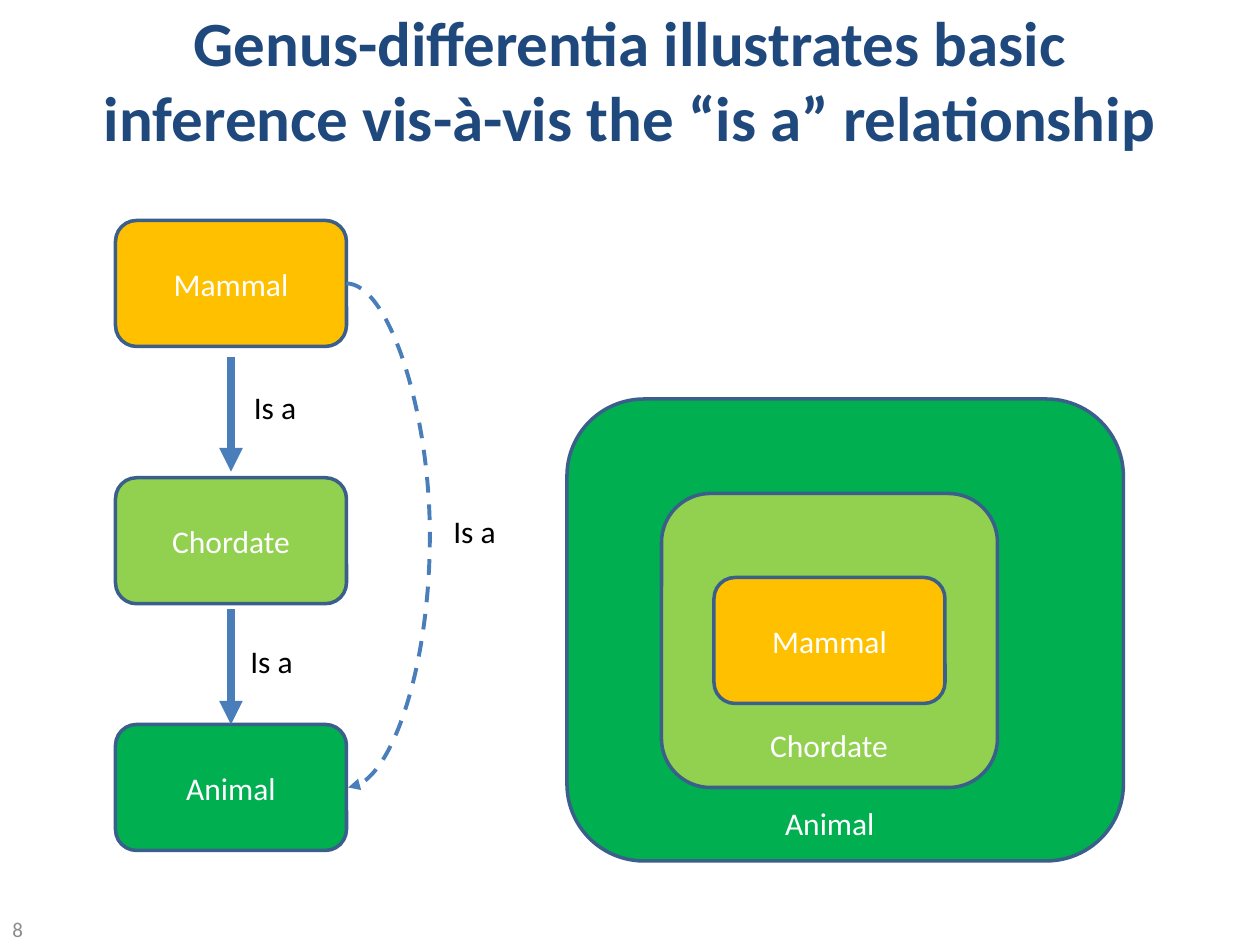
"""Build a slide showing genus-differentia inference as a chain and as nested sets."""
from lxml.etree import SubElement
from pptx import Presentation
from pptx.dml.color import RGBColor
from pptx.enum.dml import MSO_LINE
from pptx.enum.shapes import MSO_CONNECTOR as Connector, MSO_SHAPE as Shape
from pptx.enum.text import MSO_ANCHOR as Anchor, PP_ALIGN as Align
from pptx.oxml.ns import qn
from pptx.util import Pt

COLORS = {
    "title": "1F497D", "number": "8B8B8B", "black": "000000", "white": "FFFFFF",
    "outline": "3A5F8B", "arrow": "4A7EBB",
    "Mammal": "FFC000", "Chordate": "92D050", "Animal": "00B050",
}
TITLE = "Genus-differentia illustrates basic inference vis-à-vis the “is a” relationship"
SLIDE_NUMBER = "8"
BOX_LEFT, BOX_WIDTH, BOX_HEIGHT = 66, 132, 72
CHAIN = [("Mammal", 126), ("Chordate", 273), ("Animal", 414)]
NESTED = [
    ("Animal", "", (324, 228, 318, 264)),
    ("Chordate", "", (378, 282, 192, 168)),
    ("Mammal", "Mammal", (408, 330, BOX_WIDTH, BOX_HEIGHT)),
]
LABELS = [
    ("Is a", "black", (138, 218, 42, 29)),
    ("Is a", "black", (136, 363.5, 42, 29)),
    ("Is a", "black", (252, 289, 42, 29)),
    ("Chordate", "white", (433, 411.5, 86, 29)),
    ("Animal", "white", (441.5, 456, 70, 29)),
]
STRAIGHT_ARROWS = [(204, 269.5), (348, 414)]
CURVE_BULGE = 48


def rgb(name):
    return RGBColor.from_string(COLORS[name])


def write(shape, text, color, size=18, align=Align.CENTER, anchor=Anchor.MIDDLE, wrap=True, bold=False):
    frame = shape.text_frame
    frame.word_wrap = wrap
    frame.vertical_anchor = anchor
    paragraph = frame.paragraphs[0]
    paragraph.text = text
    paragraph.alignment = align
    font = paragraph.font
    font.name, font.size, font.bold = "Calibri", Pt(size), bold
    font.color.rgb = rgb(color)


def add_text(slide, place, text, color, **style):
    write(slide.shapes.add_textbox(*map(Pt, place)), text, color, **style)


def add_box(slide, kind, text, place):
    shape = slide.shapes.add_shape(Shape.ROUNDED_RECTANGLE, *map(Pt, place))
    shape.shadow.inherit = False
    shape.fill.solid()
    shape.fill.fore_color.rgb = rgb(kind)
    shape.line.color.rgb = rgb("outline")
    shape.line.width = Pt(2)
    if text:
        write(shape, text, "white")


def add_arrow(slide, kind, ends, width):
    arrow = slide.shapes.add_connector(kind, *map(Pt, ends))
    arrow.line.color.rgb = rgb("arrow")
    arrow.line.width = Pt(width)
    properties = arrow.element.spPr
    SubElement(properties.find(qn("a:ln")), qn("a:tailEnd"), type="triangle")
    SubElement(properties, qn("a:effectLst"))
    return arrow


def add_curve(slide, left, top, bottom):
    curve = add_arrow(slide, Connector.CURVE, (left, top, left + 1, bottom), 2.25)
    curve.line.dash_style = MSO_LINE.DASH
    guides = curve.element.spPr.find(qn("a:prstGeom")).get_or_add_avLst()
    SubElement(guides, qn("a:gd"), name="adj1", fmla=f"val {CURVE_BULGE * 100000}")


def main():
    presentation = Presentation()
    presentation.slide_width, presentation.slide_height = Pt(720), Pt(540)
    slide = presentation.slides.add_slide(presentation.slide_layouts[6])
    add_text(slide, (36, 0, 648, 90), TITLE, "title", size=36, bold=True)
    add_text(slide, (0, 522, 168, 17.5), SLIDE_NUMBER, "number", size=12, align=Align.LEFT)

    for name, top in CHAIN:
        add_box(slide, name, name, (BOX_LEFT, top, BOX_WIDTH, BOX_HEIGHT))
    center = BOX_LEFT + BOX_WIDTH / 2
    for start, end in STRAIGHT_ARROWS:
        add_arrow(slide, Connector.STRAIGHT, (center, start, center, end), 4.5)
    first, last = (top + BOX_HEIGHT / 2 for _, top in (CHAIN[0], CHAIN[-1]))
    add_curve(slide, BOX_LEFT + BOX_WIDTH, first, last)

    for kind, text, place in NESTED:
        add_box(slide, kind, text, place)
    for text, color, place in LABELS:
        add_text(slide, place, text, color, align=Align.LEFT, anchor=Anchor.TOP, wrap=False)
    presentation.save("out.pptx")


if __name__ == "__main__":
    main()
